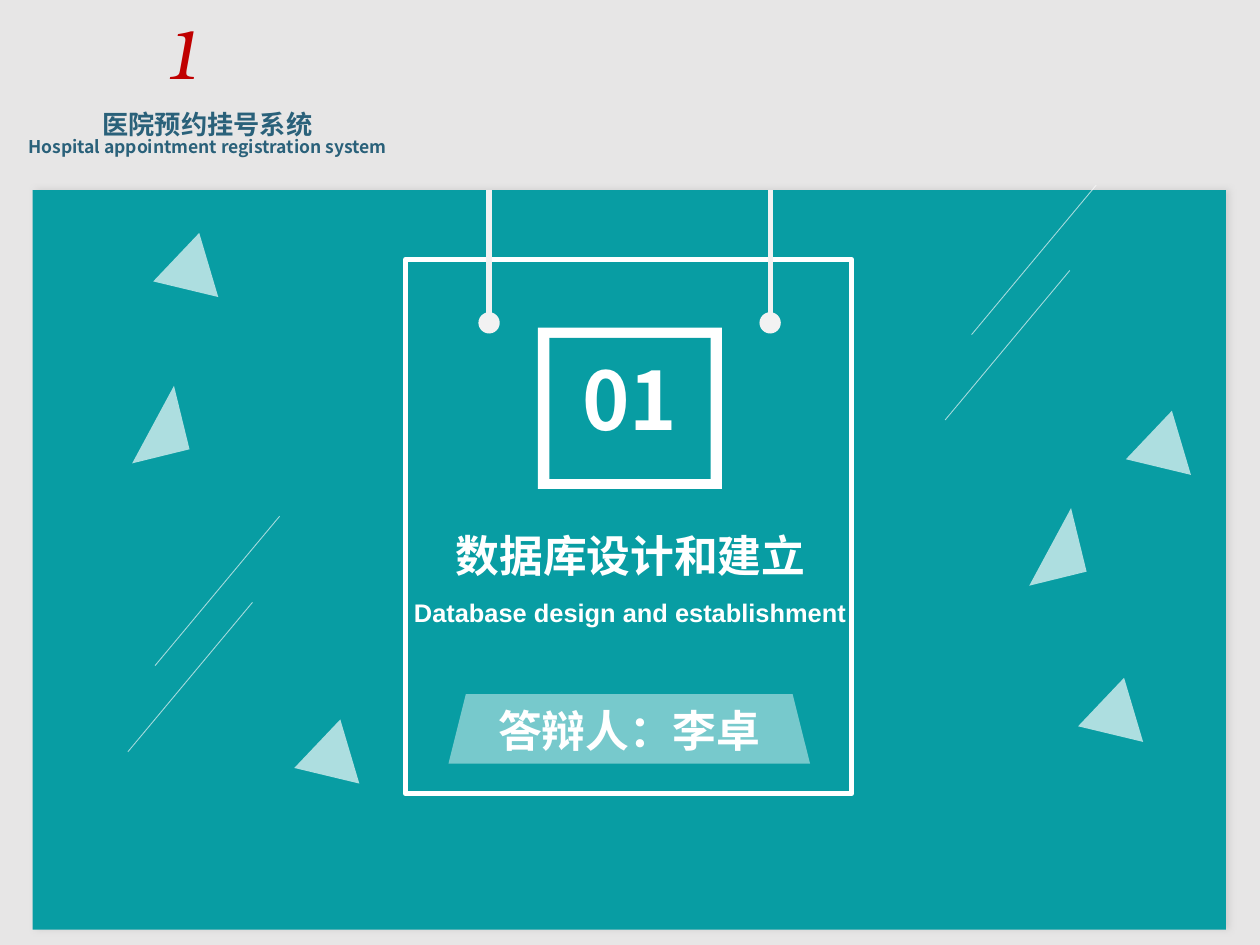
from lxml.etree import SubElement
from pptx import Presentation
from pptx.dml.color import RGBColor
from pptx.enum.shapes import MSO_CONNECTOR, MSO_SHAPE
from pptx.enum.text import MSO_ANCHOR, PP_ALIGN
from pptx.oxml.ns import qn
from pptx.util import Pt

TEAL, WHITE, PALE, BLUE = "089DA3", "FFFFFF", "F2F2F2", "2A617A"
SANS = "Noto Sans CJK SC"

# left, top, width, height, paragraphs of (text, size, font, colour, bold, italic, line spacing)
HEADER = [
    (67.7, 5.5, 71.3, 52, [("1", 40, "TeX Gyre Bonum", "C00000", False, True, 1)]),
    (0, 62, 236.9, 36, [
        ("医院预约挂号系统", 15, SANS, BLUE, True, False, 1),
        ("Hospital appointment registration system", 10, SANS, BLUE, True, False, 0.8),
    ]),
]
TITLES = [
    (321.1, 200, 77.8, 66, [("01", 46, SANS, WHITE, True, False, 1)]),
    (213.8, 302, 293, 37, [("数据库设计和建立", 25, SANS, WHITE, True, False, 1)]),
    (211.7, 341, 296.6, 21,
     [("Database design and establishment", 14.5, "Arial", WHITE, True, False, 1)]),
]
SPEAKER = ("答辩人：李卓", 25, "Noto Sans CJK JP", WHITE, True, False, 1)

CORD_X = (279.5, 440.1)
CORD_TOP, CORD_BOTTOM, KNOB = 108.7, 184.5, 12.2
STREAK_STARTS = [(626.4, 105.8), (611.3, 154.6), (159.8, 295), (144.3, 344.2)]
STREAK_WIDTH, STREAK_HEIGHT = 71.2, 85.4
SLIM_TRIANGLES = [(583.2, 293.8), (70.6, 223.9)]
WIDE_TRIANGLES = [(649.4, 243.4), (622.1, 396), (93.6, 141.8), (174.2, 419.8)]


def color(value):
    return RGBColor.from_string(value)


def add_alpha(fill, percent):
    """Make the solid fill inside a properties element partly transparent."""
    value = fill.find(qn("a:solidFill"))[0]
    SubElement(value, qn("a:alpha"), val=str(percent * 1000))


def add_shape(page, kind, left, top, width, height, fill=None, alpha=None):
    shape = page.shapes.add_shape(kind, Pt(left), Pt(top), Pt(width), Pt(height))
    shape.shadow.inherit = False
    shape.line.fill.background()
    if fill:
        shape.fill.solid()
        shape.fill.fore_color.rgb = color(fill)
    else:
        shape.fill.background()
    if alpha:
        add_alpha(shape._element.spPr, alpha)
    return shape


def add_line(page, start, end, stroke, width, alpha=None):
    line = page.shapes.add_connector(
        MSO_CONNECTOR.STRAIGHT, *(Pt(value) for value in (*start, *end)))
    line.line.color.rgb = color(stroke)
    line.line.width = Pt(width)
    properties = line._element.spPr
    if alpha:
        add_alpha(properties.find(qn("a:ln")), alpha)
    SubElement(properties, qn("a:effectLst"))


def write(shape, paragraphs, anchor, wrap=True):
    frame = shape.text_frame
    frame.word_wrap = wrap
    frame.vertical_anchor = anchor
    frame.margin_left = frame.margin_right = frame.margin_top = frame.margin_bottom = 0
    for index, (text, size, font, tint, bold, italic, spacing) in enumerate(paragraphs):
        para = frame.add_paragraph() if index else frame.paragraphs[0]
        para.alignment = PP_ALIGN.CENTER
        para.line_spacing = spacing
        span = para.add_run()
        span.text = text
        span.font.size = Pt(size)
        span.font.bold = bold
        span.font.italic = italic
        span.font.color.rgb = color(tint)
        span.font.name = font
        SubElement(span._r.get_or_add_rPr(), qn("a:ea"), typeface=font)


def add_texts(page, texts):
    for left, top, width, height, paragraphs in texts:
        box = page.shapes.add_textbox(Pt(left), Pt(top), Pt(width), Pt(height))
        write(box, paragraphs, MSO_ANCHOR.TOP)


def add_panel(page):
    panel = add_shape(page, MSO_SHAPE.RECTANGLE, 18.7, 108.7, 681.8, 422.6, TEAL)
    effects = panel._element.spPr.find(qn("a:effectLst"))
    shadow = SubElement(effects, qn("a:outerShdw"), blurRad=str(Pt(4)),
                        dist=str(Pt(2)), dir="0", algn="ctr", rotWithShape="0")
    tint = SubElement(shadow, qn("a:srgbClr"), val="A6A6A6")
    SubElement(tint, qn("a:alpha"), val="36000")


def add_hanging_sign(page):
    frame = add_shape(page, MSO_SHAPE.RECTANGLE, 231.8, 148.3, 254.9, 305.3)
    frame.line.color.rgb = color(WHITE)
    frame.line.width = Pt(3)
    for x in CORD_X:
        add_line(page, (x, CORD_TOP), (x, CORD_BOTTOM), PALE, 3)
        add_shape(page, MSO_SHAPE.OVAL, x - KNOB / 2, CORD_BOTTOM - KNOB / 2,
                  KNOB, KNOB, PALE)


def add_triangles(page):
    for left, top in SLIM_TRIANGLES:
        slim = add_shape(page, MSO_SHAPE.ISOSCELES_TRIANGLE, left, top, 33.8, 37.4, WHITE, 67)
        slim.adjustments[0] = 1
        slim.rotation = 346.2
    for left, top in WIDE_TRIANGLES:
        wide = add_shape(page, MSO_SHAPE.ISOSCELES_TRIANGLE, left, top, 38.2, 33.1, WHITE, 67)
        wide.rotation = 133.5


def main():
    deck = Presentation()
    deck.slide_width, deck.slide_height = Pt(720), Pt(540)
    page = deck.slides.add_slide(deck.slide_layouts[6])
    page.background.fill.solid()
    page.background.fill.fore_color.rgb = color("E7E6E6")

    add_texts(page, HEADER)
    add_panel(page)
    add_hanging_sign(page)
    for x, y in STREAK_STARTS:
        add_line(page, (x, y), (x - STREAK_WIDTH, y + STREAK_HEIGHT), WHITE, 0.5, 64)
    add_shape(page, MSO_SHAPE.RECTANGLE, 307.4, 187.2, 105.1, 92.2, WHITE)
    add_shape(page, MSO_SHAPE.RECTANGLE, 313.9, 193, 92.2, 80.6, TEAL)
    add_texts(page, TITLES)
    add_triangles(page)
    plate = add_shape(page, MSO_SHAPE.TRAPEZOID, 256.3, 396.7, 206.6, 39.6, "77C9CC")
    write(plate, [SPEAKER], MSO_ANCHOR.MIDDLE, wrap=False)
    deck.save("out.pptx")


if __name__ == "__main__":
    main()
